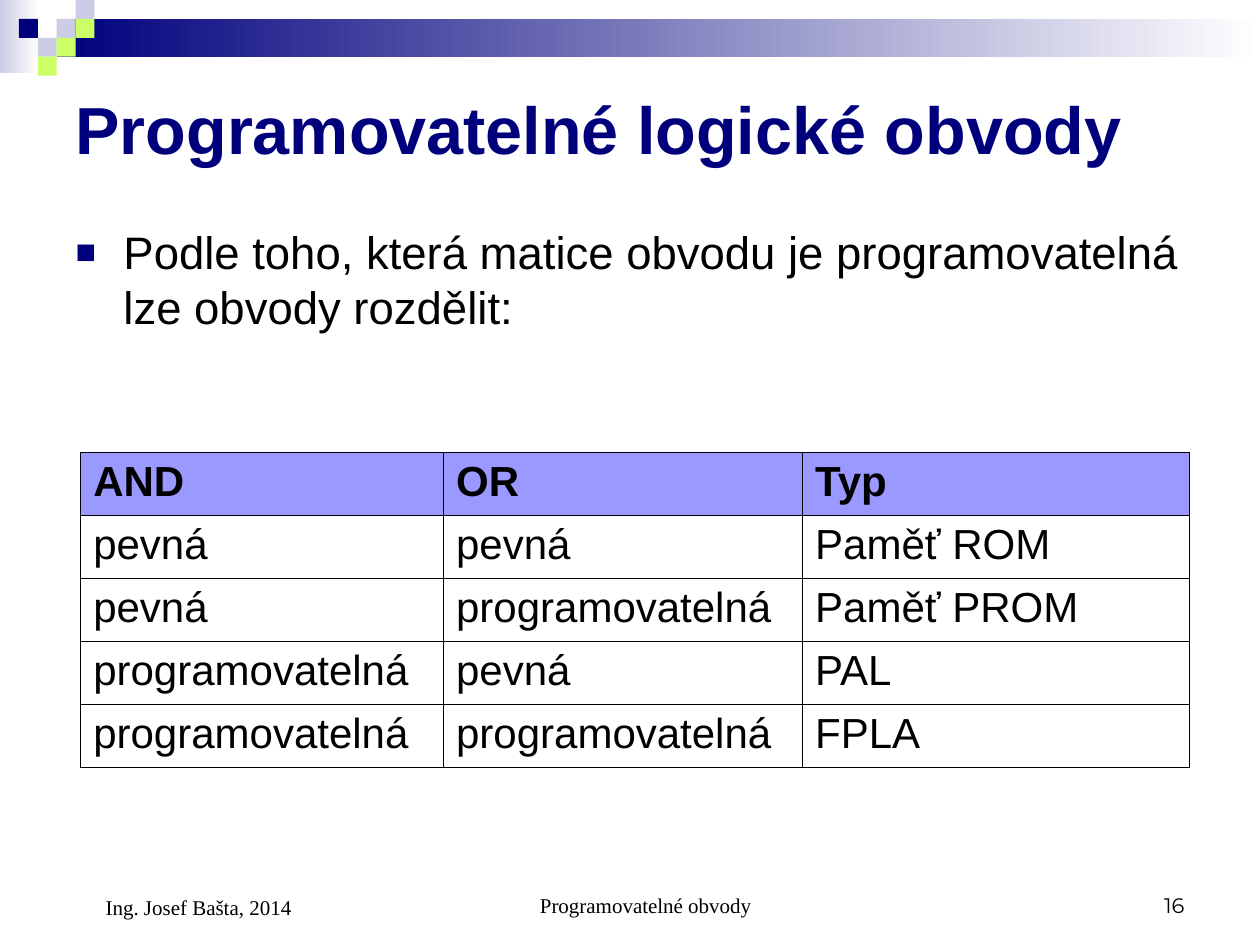
from typing import NamedTuple

from lxml import etree
from pptx import Presentation
from pptx.dml.color import RGBColor
from pptx.enum.shapes import MSO_SHAPE
from pptx.enum.text import MSO_ANCHOR, MSO_AUTO_SIZE, PP_ALIGN
from pptx.oxml.ns import qn
from pptx.util import Inches, Pt

RECTANGLE = MSO_SHAPE.RECTANGLE
LEFT, CENTER, RIGHT = PP_ALIGN.LEFT, PP_ALIGN.CENTER, PP_ALIGN.RIGHT
TOP, MIDDLE, BOTTOM = MSO_ANCHOR.TOP, MSO_ANCHOR.MIDDLE, MSO_ANCHOR.BOTTOM
NO_AUTOFIT = MSO_AUTO_SIZE.NONE

NAVY = RGBColor(0x00, 0x00, 0x7D)
LAVENDER = RGBColor(0xCC, 0xCC, 0xE6)
LIME = RGBColor(0xCC, 0xFF, 0x66)
HEADER_BLUE = RGBColor(0x99, 0x99, 0xFF)
WHITE = RGBColor(0xFF, 0xFF, 0xFF)
BLACK = RGBColor(0x00, 0x00, 0x00)

TILE = 0.15  # side of one decorative square, inches
OUTER_LINE, INNER_LINE = Pt(1.08), Pt(0.45)


class Box(NamedTuple):
    left: float
    top: float
    width: float
    height: float


class Tile(NamedTuple):
    column: int
    row: int
    color: RGBColor


class Footer(NamedTuple):
    text: str
    box: Box
    font: str
    align: PP_ALIGN
    indent: float


TILES = [
    Tile(3, 1, LAVENDER), Tile(4, 0, LAVENDER), Tile(4, 1, LIME),
    Tile(2, 2, LAVENDER), Tile(1, 1, NAVY), Tile(3, 2, LIME), Tile(2, 3, LIME),
]
COLUMN_WIDTHS = [2.88, 2.85, 3.07]
CIRCUIT_TYPES = [
    ("AND", "OR", "Typ"),
    ("pevná", "pevná", "Paměť ROM"),
    ("pevná", "programovatelná", "Paměť PROM"),
    ("programovatelná", "pevná", "PAL"),
    ("programovatelná", "programovatelná", "FPLA"),
]
TABLE_BOX = Box(0.64, 3.59, 8.8, 2.5)
FOOTERS = [
    Footer("Programovatelné obvody", Box(3.42, 6.83, 3.17, 0.5),
           "Times New Roman", CENTER, 0.24),
    Footer("16", Box(7.17, 6.83, 2.33, 0.5), "Montserrat", RIGHT, 0),
    Footer("Ing. Josef Bašta, 2014", Box(0.5, 6.83, 2.33, 0.52),
           "Times New Roman", LEFT, 0.24),
]


def place(shape, box: Box) -> None:
    shape.left, shape.top, shape.width, shape.height = map(Inches, box)


def set_frame(frame, anchor: MSO_ANCHOR) -> None:
    frame.word_wrap = True
    frame.auto_size = NO_AUTOFIT
    frame.vertical_anchor = anchor


def add_run(paragraph, text: str, size: float, color: RGBColor = BLACK,
            bold: bool = False, font: str = "Arial") -> None:
    run = paragraph.add_run()
    run.text = text
    run.font.size = Pt(size)
    run.font.name = font
    run.font.bold = bold
    run.font.color.rgb = color


def add_rectangle(slide, box: Box):
    rectangle = slide.shapes.add_shape(RECTANGLE, *map(Inches, box))
    rectangle.shadow.inherit = False
    rectangle.line.fill.background()
    return rectangle


def add_fading_band(slide, box: Box, color: RGBColor) -> None:
    fill = add_rectangle(slide, box).fill
    fill.gradient()
    fill.gradient_angle = 180
    for stop, stop_color in zip(fill.gradient_stops, (WHITE, color)):
        stop.color.rgb = stop_color


def add_tile(slide, tile: Tile) -> None:
    box = Box(tile.column * TILE, tile.row * TILE, TILE, TILE)
    fill = add_rectangle(slide, box).fill
    fill.solid()
    fill.fore_color.rgb = tile.color


def add_square_bullet(paragraph, indent: float) -> None:
    properties = paragraph._p.get_or_add_pPr()
    properties.set("marL", str(Inches(indent)))
    properties.set("indent", str(-Inches(indent)))
    color = etree.SubElement(properties, qn("a:buClr"))
    etree.SubElement(color, qn("a:srgbClr"), val=str(NAVY))
    etree.SubElement(properties, qn("a:buSzPct"), val="75000")
    etree.SubElement(properties, qn("a:buFont"), typeface="Arial")
    etree.SubElement(properties, qn("a:buChar"), char="■")


def set_borders(cell, row: int, column: int) -> None:
    outer_sides = {
        "a:lnL": column == 0,
        "a:lnR": column == len(COLUMN_WIDTHS) - 1,
        "a:lnT": row == 0,
        "a:lnB": row == len(CIRCUIT_TYPES) - 1,
    }
    properties = cell._tc.get_or_add_tcPr()
    # Borders come before the fill in the cell properties
    for position, (side, is_outer) in enumerate(outer_sides.items()):
        line = etree.Element(qn(side), w=str(OUTER_LINE if is_outer else INNER_LINE))
        fill = etree.SubElement(line, qn("a:solidFill"))
        etree.SubElement(fill, qn("a:srgbClr"), val=str(BLACK))
        properties.insert(position, line)


def add_circuit_table(slide) -> None:
    table = slide.shapes.add_table(
        len(CIRCUIT_TYPES), len(COLUMN_WIDTHS), *map(Inches, TABLE_BOX)).table
    table.horz_banding = False
    for column, width in zip(table.columns, COLUMN_WIDTHS):
        column.width = Inches(width)
    for row, texts in enumerate(CIRCUIT_TYPES):
        for column, text in enumerate(texts):
            cell = table.cell(row, column)
            is_header = row == 0
            if is_header:
                cell.fill.solid()
                cell.fill.fore_color.rgb = HEADER_BLUE
            else:
                cell.fill.background()
            set_borders(cell, row, column)
            add_run(cell.text_frame.paragraphs[0], text, 24, bold=is_header)


def add_footer(slide, footer: Footer) -> None:
    frame = slide.shapes.add_textbox(*map(Inches, footer.box)).text_frame
    set_frame(frame, BOTTOM)
    paragraph = frame.paragraphs[0]
    paragraph.alignment = footer.align
    if footer.indent:
        paragraph._p.get_or_add_pPr().set("marL", str(Inches(footer.indent)))
    add_run(paragraph, footer.text, 12, font=footer.font)


def main() -> None:
    presentation = Presentation()
    presentation.slide_width = Inches(10)
    presentation.slide_height = Inches(7.5)
    slide = presentation.slides.add_slide(presentation.slide_layouts[1])
    title, body = slide.placeholders

    # Decorative header
    add_fading_band(slide, Box(0, 0, 0.31, 0.58), LAVENDER)
    add_fading_band(slide, Box(0.45, 0.15, 9.55, 0.3), NAVY)
    for tile in TILES:
        add_tile(slide, tile)

    # Title
    place(title, Box(0.5, 0.5, 9, 1.03))
    set_frame(title.text_frame, MIDDLE)
    heading = title.text_frame.paragraphs[0]
    heading.alignment = LEFT
    add_run(heading, "Programovatelné logické obvody", 38, NAVY, bold=True)

    # Introductory bullet
    place(body, Box(0.5, 1.73, 9, 1.01))
    set_frame(body.text_frame, TOP)
    introduction = body.text_frame.paragraphs[0]
    introduction.space_before = Pt(0)
    add_square_bullet(introduction, 0.38)
    add_run(introduction, "Podle toho, která matice obvodu je programovatelná "
            "lze obvody rozdělit:", 26)

    # Circuit types and footers
    add_circuit_table(slide)
    for footer in FOOTERS:
        add_footer(slide, footer)

    presentation.save("out.pptx")


if __name__ == "__main__":
    main()
